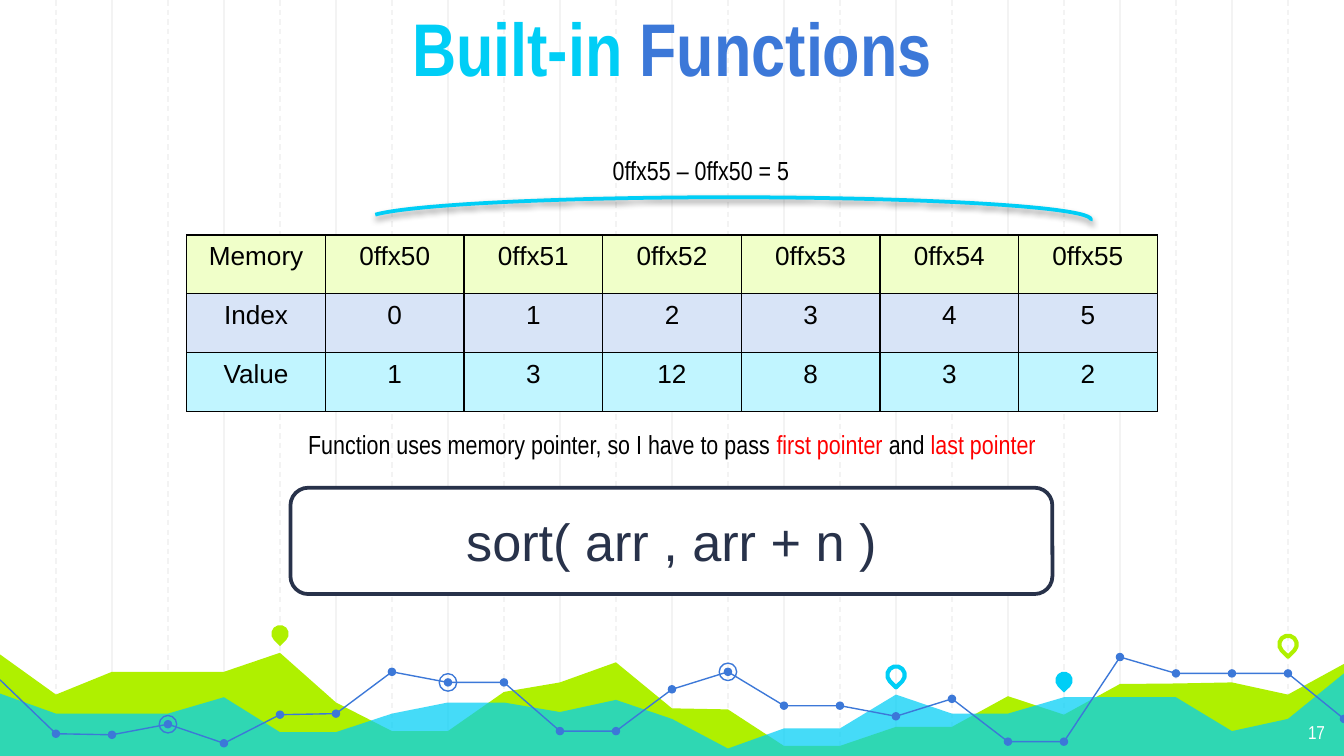
import pptx
import pptx.chart.data
import pptx.dml.color
import pptx.enum.dml
import pptx.enum.shapes
import pptx.enum.text
import pptx.oxml
import pptx.oxml.ns
import pptx.util

Cm = pptx.util.Cm
Pt = pptx.util.Pt
SHAPE = pptx.enum.shapes.MSO_SHAPE
ALIGN = pptx.enum.text.PP_ALIGN
ANCHOR = pptx.enum.text.MSO_ANCHOR

COLORS = {
    "cyan": "00CEF6", "blue": "3C78D8", "lime": "AFF000", "grid": "F3F3F3",
    "navy": "28324A", "black": "000000", "white": "FFFFFF", "red": "FF0000",
    "pale_lime": "F0FFC9", "pale_blue": "D8E4F7", "pale_cyan": "C1F5FF",
}
COLUMNS = 24
LIME_TOPS = [12.37, 13.13, 12.7, 12.7, 12.7, 12.34, 13.28, 13.82, 13.82, 13.08, 12.9, 12.52, 13.39,
             13.41, 14.1, 14.1, 13.74, 13.74, 13.16, 13.51, 12.93, 12.92, 12.9, 13.13, 12.55]
CYAN_TOPS = [13.11, 13.49, 13.49, 13.49, 13.18, 13.84, 13.84, 13.49, 13.28, 13.28, 13.46, 13.23, 13.59,
             14.15, 13.77, 13.77, 13.13, 13.49, 13.49, 13.18, 13.18, 13.18, 13.82, 13.59, 12.73]
TREND = [12.85, 13.87, 13.89, 13.69, 14.05, 13.51, 13.49, 12.7, 12.9, 12.9, 13.82, 13.82, 13.03,
         12.7, 13.34, 13.34, 13.54, 13.21, 14.02, 14.02, 12.42, 12.73, 12.73, 12.73, 13.59]
TREND_PARTS = [(0, 11), (11, 20), (20, 24)]
RINGS = [3, 8, 13]
PINS = [(5, 11.98, "lime", True), (16, 12.76, "cyan", False),
        (19, 12.86, "cyan", True), (23, 12.18, "lime", False)]
MEMORY_ROWS = [
    ("pale_lime", ["Memory", "0ffx50", "0ffx51", "0ffx52", "0ffx53", "0ffx54", "0ffx55"]),
    ("pale_blue", ["Index", "0", "1", "2", "3", "4", "5"]),
    ("pale_cyan", ["Value", "1", "3", "12", "8", "3", "2"]),
]


def rgb(name):
    return pptx.dml.color.RGBColor.from_string(COLORS[name])


def xml(tag, body="", attributes=""):
    namespace = pptx.oxml.ns.nsdecls("a")
    return pptx.oxml.parse_xml(f"<a:{tag} {namespace} {attributes}>{body}</a:{tag}>")


def paint(shape, fill=None, line=None, width=0.75):
    if fill:
        shape.fill.solid()
        shape.fill.fore_color.rgb = rgb(fill)
    else:
        shape.fill.background()
    if line:
        shape.line.color.rgb = rgb(line)
        shape.line.width = Pt(width)
    else:
        shape.line.fill.background()
    shape.shadow.inherit = False


def write(frame, spans, size, font="Arial Narrow", align=ALIGN.CENTER, bold=False):
    para = frame.paragraphs[0]
    para.alignment = align
    for text, color in spans:
        span = para.add_run()
        span.text = text
        span.font.name = font
        span.font.size = Pt(size)
        span.font.bold = bold
        span.font.color.rgb = rgb(color)


def pad(frame, margin):
    frame.margin_left = frame.margin_right = margin
    frame.margin_top = frame.margin_bottom = margin


def add_label(page, box, spans, size, align=ALIGN.CENTER, margin=None):
    frame = page.shapes.add_textbox(*box).text_frame
    frame.word_wrap = True
    if margin:
        pad(frame, margin)
    write(frame, spans, size, align=align)


def add_grid(page, box):
    left, top, width, height = box
    for column in range(1, COLUMNS):
        x = left + width * column // COLUMNS
        line = page.shapes.add_connector(
            pptx.enum.shapes.MSO_CONNECTOR.STRAIGHT, x, top, x, top + height)
        line.line.color.rgb = rgb("grid")
        line.line.width = Pt(0.75)
        if column % 2:
            line.line.dash_style = pptx.enum.dml.MSO_LINE.DASH
        line._element.spPr.append(xml("effectLst"))


def add_outline(page, points, closed):
    builder = page.shapes.build_freeform(*points[0])
    builder.add_line_segments(points[1:], close=closed)
    return builder.convert_to_shape()


def add_marker(page, kind, x, y, size):
    return page.shapes.add_shape(kind, x - size // 2, y - size // 2, size, size)


def add_skyline(page, box):
    left, top, width, height = box

    def point(column, y):
        return left + width * column // COLUMNS, Cm(y)

    corners = [(left + width, top + height), (left, top + height)]
    for tops, color in ((LIME_TOPS, "lime"), (CYAN_TOPS, "cyan")):
        area = add_outline(page, [point(*spot) for spot in enumerate(tops)] + corners, True)
        paint(area, fill=color)
        if color == "cyan":
            tint = area._element.spPr.find(".//" + pptx.oxml.ns.qn("a:srgbClr"))
            tint.append(xml("alpha", attributes='val="73000"'))

    for column, y, color, filled in PINS:
        pin = add_marker(page, SHAPE.TEAR, *point(column, y), Cm(0.33))
        pin.rotation = 135
        if filled:
            paint(pin, fill=color)
        else:
            paint(pin, line=color, width=2.25)

    spots = [point(*spot) for spot in enumerate(TREND)]
    for first, last in TREND_PARTS:
        paint(add_outline(page, spots[first:last + 1], False), line="blue")
    for spot in spots[1:]:
        paint(add_marker(page, SHAPE.OVAL, *spot, Cm(0.16)), fill="blue")
    for column in RINGS:
        paint(add_marker(page, SHAPE.OVAL, *spots[column], Cm(0.33)), line="blue")


def add_title(page, box):
    title = page.shapes.title
    title.left, title.top, title.width, title.height = box
    frame = title.text_frame
    frame.auto_size = pptx.enum.text.MSO_AUTO_SIZE.NONE
    frame.vertical_anchor = ANCHOR.BOTTOM
    pad(frame, Cm(0.25))
    write(frame, [("Built-in ", "cyan"), ("Functions", "blue")], 40, bold=True)
    page.shapes.element.append(title._element)


def add_memory_table(page, box):
    table = page.shapes.add_table(len(MEMORY_ROWS), len(MEMORY_ROWS[0][1]), *box).table
    table.first_row = table.horz_banding = False
    ink = f'<a:solidFill><a:srgbClr val="{COLORS["black"]}"/></a:solidFill>'
    for row, (color, texts) in enumerate(MEMORY_ROWS):
        for column, text in enumerate(texts):
            cell = table.cell(row, column)
            cell.fill.solid()
            cell.fill.fore_color.rgb = rgb(color)
            write(cell.text_frame, [(text, "black")], 14, "Arial")
            for order, side in enumerate(("lnL", "lnR", "lnT", "lnB")):
                border = xml(side, ink, f'w="{Pt(0.75)}"')
                cell._tc.get_or_add_tcPr().insert(order, border)


def add_code_box(page, box):
    panel = page.shapes.add_shape(SHAPE.ROUNDED_RECTANGLE, *box)
    paint(panel, fill="white", line="navy", width=2)
    panel.text_frame.vertical_anchor = ANCHOR.MIDDLE
    write(panel.text_frame, [("sort( arr , arr + n )", "navy")], 28, "Arial")


def add_span_arc(page, box):
    arc = page.shapes.add_shape(SHAPE.ARC, *box)
    arc.adjustments[0] = 108.47
    arc.adjustments[1] = 0.11
    paint(arc, line="cyan", width=2)
    shade = f'<a:srgbClr val="{COLORS["black"]}"><a:alpha val="38000"/></a:srgbClr>'
    effects = arc._element.spPr.find(pptx.oxml.ns.qn("a:effectLst"))
    effects.append(xml("outerShdw", shade,
                       f'blurRad="{Pt(3.1)}" dist="{Pt(1.6)}" dir="5400000" rotWithShape="0"'))


def main():
    deck = pptx.Presentation()
    deck.slide_width, deck.slide_height = Cm(25.4), Cm(14.29)
    page = deck.slides.add_slide(deck.slide_layouts[5])
    full = (0, 0, deck.slide_width, deck.slide_height)
    add_grid(page, full)
    add_skyline(page, full)
    add_label(page, (Cm(23.77), Cm(13.41), Cm(1.52), Cm(0.88)), [("17", "white")], 10,
              ALIGN.RIGHT, Cm(0.25))
    add_title(page, (0, 0, deck.slide_width, Cm(1.98)))
    add_memory_table(page, (Cm(3.53), Cm(4.44), Cm(18.34), Cm(3.34)))
    add_label(page, (0, Cm(7.98), deck.slide_width, Cm(0.86)),
              [("Function uses memory pointer, so I have to pass ", "black"), ("first pointer ", "red"),
               ("and ", "black"), ("last pointer", "red")], 14)
    add_code_box(page, (Cm(5.49), Cm(9.22), Cm(14.4), Cm(2.01)))
    add_span_arc(page, (Cm(6.93), Cm(3.73), Cm(13.69), Cm(0.84)))
    add_label(page, (Cm(11.33), Cm(2.79), Cm(4.93), Cm(0.86)),
              [("0ffx55 – 0ffx50 = 5", "black")], 14, ALIGN.LEFT)
    deck.save("out.pptx")


if __name__ == "__main__":
    main()
